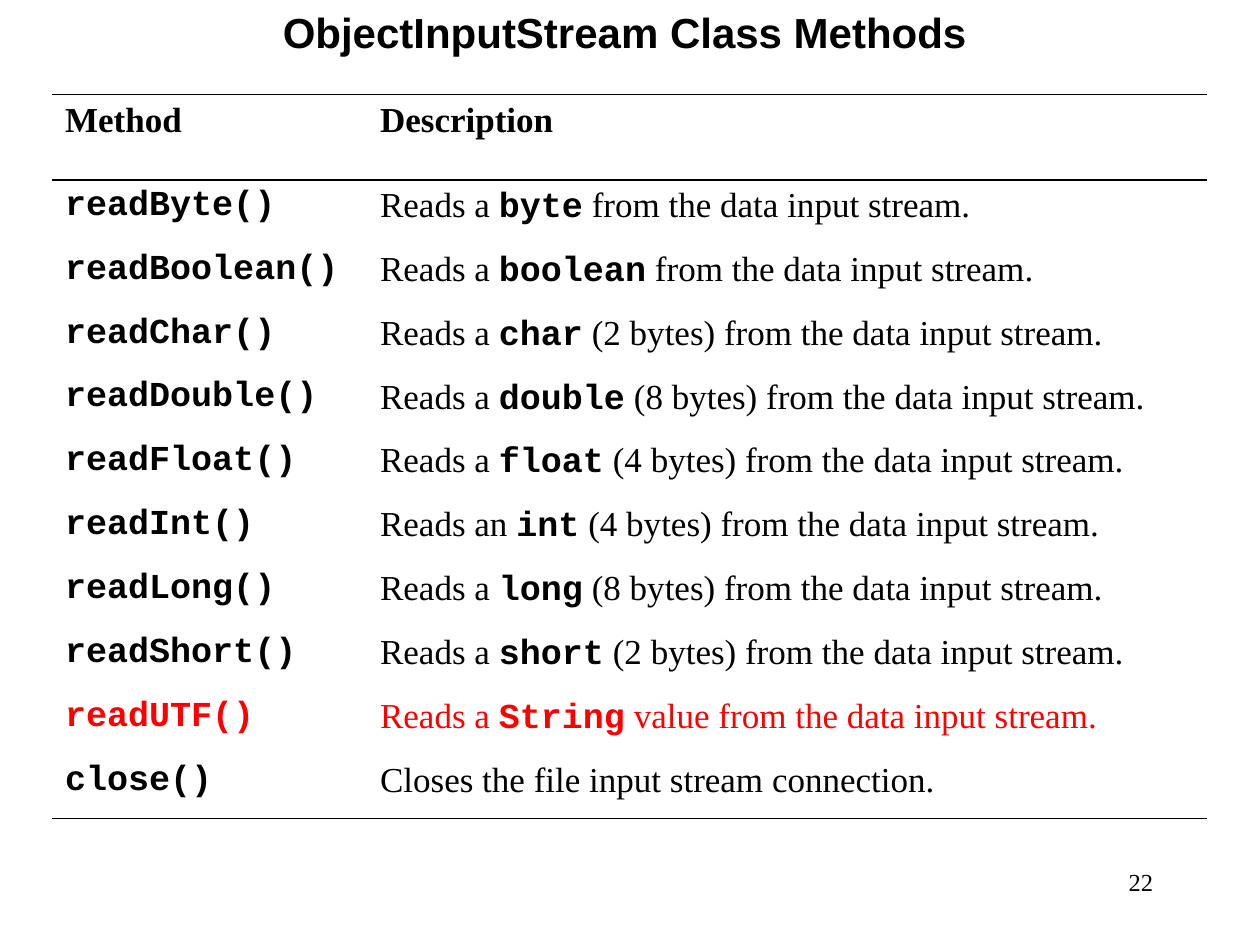
from lxml import etree
from pptx import Presentation
from pptx.dml.color import RGBColor
from pptx.enum.text import PP_ALIGN
from pptx.oxml.ns import qn
from pptx.util import Pt

CENTER, RIGHT, JUSTIFY = PP_ALIGN.CENTER, PP_ALIGN.RIGHT, PP_ALIGN.JUSTIFY
EMU_PER_PX = 9525  # 96 px to the inch
BLACK, RED = "000000", "FF0000"
SERIF, SANS, MONO = "Times New Roman", "Arial", "Courier New"

# Method, words before the type, type, words after the type
METHODS = [
    ("readByte()", "Reads a ", "byte", " from the data input stream."),
    ("readBoolean()", "Reads a ", "boolean", " from the data input stream."),
    ("readChar()", "Reads a ", "char", " (2 bytes) from the data input stream."),
    ("readDouble()", "Reads a ", "double", " (8 bytes) from the data input stream."),
    ("readFloat()", "Reads a ", "float", " (4 bytes) from the data input stream."),
    ("readInt()", "Reads an ", "int", " (4 bytes) from the data input stream."),
    ("readLong()", "Reads a ", "long", " (8 bytes) from the data input stream."),
    ("readShort()", "Reads a ", "short", " (2 bytes) from the data input stream."),
    ("readUTF()", "Reads a ", "String", " value from the data input stream."),
    ("close()", "Closes the file input stream connection.", "", ""),
]
HIGHLIGHTED = "readUTF()"


def px(length):
    return round(length * EMU_PER_PX)


def color(hex_string):
    return RGBColor.from_string(hex_string)


class SlideBuilder:
    rule_width = 0.96
    table_size = 20

    def __init__(self, slide):
        self.slide = slide

    def runs(self, para, parts, size, ink=BLACK):
        """Add (text, font, bold) parts to a paragraph."""
        for text, font, bold in parts:
            span = para.add_run()
            span.text = text
            span.font.name = font
            span.font.size = Pt(size)
            span.font.bold = bold
            span.font.color.rgb = color(ink)

    def text(self, left, top, width, height, part, size, align):
        box = self.slide.shapes.add_textbox(px(left), px(top), px(width), px(height))
        box.text_frame.word_wrap = True
        para = box.text_frame.paragraphs[0]
        para.alignment = align
        self.runs(para, [part], size)

    def borders(self, cell, ruled_sides):
        properties = cell._tc.get_or_add_tcPr()
        for side in "LRTB":
            line = etree.SubElement(properties, qn(f"a:ln{side}"))
            if side in ruled_sides:
                line.set("w", str(Pt(self.rule_width)))
                fill = etree.SubElement(line, qn("a:solidFill"))
                etree.SubElement(fill, qn("a:srgbClr"), val=BLACK)
            else:
                etree.SubElement(line, qn("a:noFill"))

    def cell(self, cell, parts, ink, ruled_sides):
        self.borders(cell, ruled_sides)
        cell.fill.background()
        para = cell.text_frame.paragraphs[0]
        para.alignment = JUSTIFY
        self.runs(para, parts, self.table_size, ink)

    def table(self, left, top, column_widths, header_height, height, rows):
        """Draw rows of (ink, cells), ruled around the header and at the foot."""
        frame = self.slide.shapes.add_table(
            len(rows), len(column_widths), px(left), px(top),
            px(sum(column_widths)), px(height))
        table = frame.table
        table.first_row = table.horz_banding = False
        for column, width in zip(table.columns, column_widths):
            column.width = px(width)
        last = len(rows) - 1
        ruled = {0: "TB", 1: "T", last: "B"}
        for index, (ink, cells) in enumerate(rows):
            row_height = (height - header_height) / last if index else header_height
            table.rows[index].height = px(row_height)
            for column, parts in enumerate(cells):
                self.cell(table.cell(index, column), parts, ink, ruled.get(index, ""))


def table_rows():
    rows = [(BLACK, [[("Method", SERIF, True)], [("Description", SERIF, True)]])]
    for method, before, type_name, after in METHODS:
        description = [(before, SERIF, False)]
        if type_name:
            description += [(type_name, MONO, True), (after, SERIF, False)]
        ink = RED if method == HIGHLIGHTED else BLACK
        rows.append((ink, [[(method, MONO, True)], description]))
    return rows


def main():
    deck = Presentation()
    deck.slide_width, deck.slide_height = px(960), px(720)
    page = SlideBuilder(deck.slides.add_slide(deck.slide_layouts[6]))

    # Slide number
    page.text(688, 656, 200, 48, ("22", SERIF, False), 14, RIGHT)
    # Methods table
    page.table(40, 72, [240, 640], 65, 552, table_rows())
    # Title
    page.text(24, 0, 904, 48, ("ObjectInputStream Class Methods", SANS, True), 24, CENTER)

    deck.save("out.pptx")


if __name__ == "__main__":
    main()
